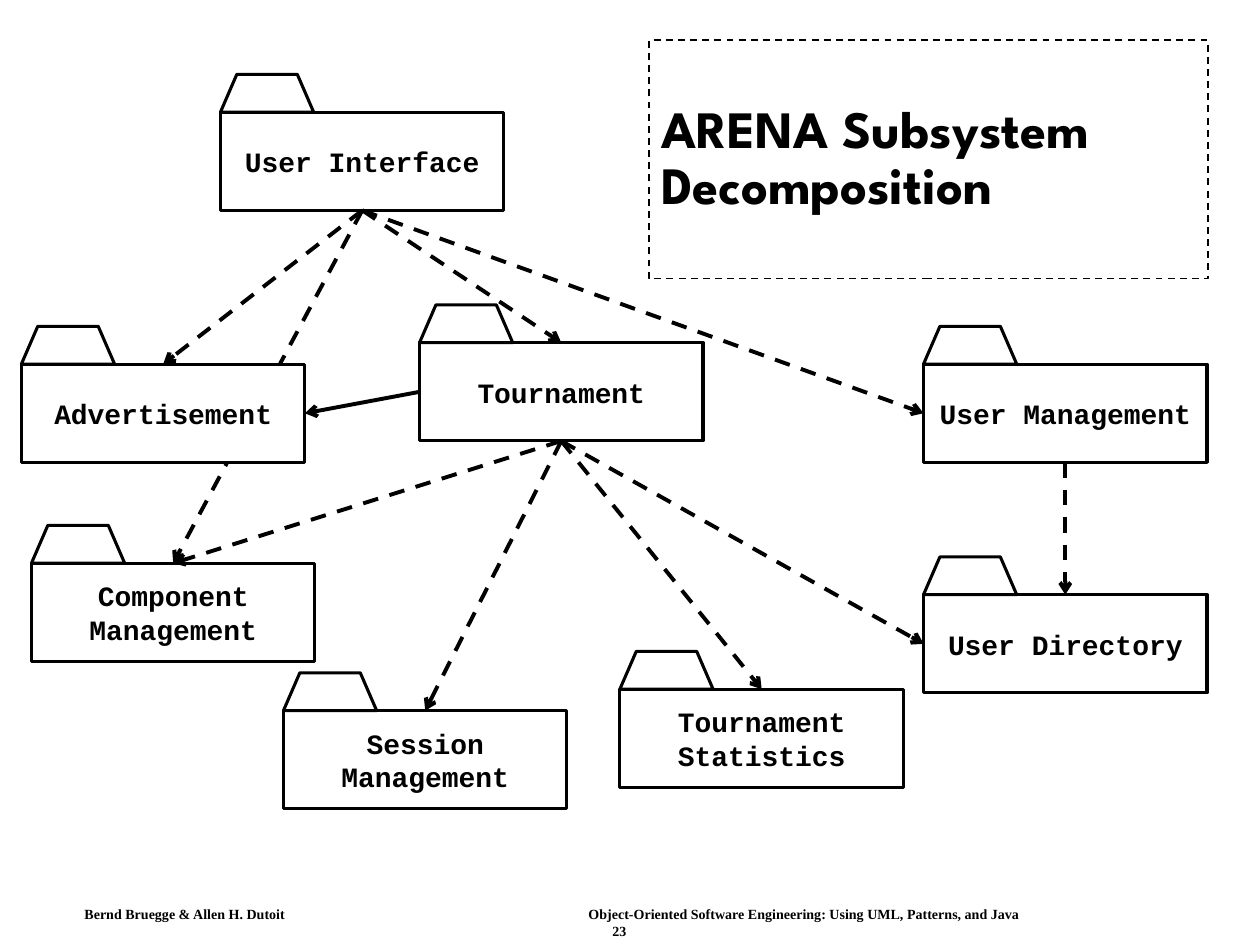
import pptx
import pptx.dml.color
import pptx.enum.dml
import pptx.enum.shapes
import pptx.enum.text
import pptx.oxml
import pptx.oxml.ns
import pptx.util

Inches, Pt = pptx.util.Inches, pptx.util.Pt
Align, Anchor = pptx.enum.text.PP_ALIGN, pptx.enum.text.MSO_ANCHOR
Preset = pptx.enum.shapes.MSO_SHAPE
DASH = pptx.enum.dml.MSO_LINE.DASH

COLORS = {"ink": "000000", "paper": "FFFFFF"}
PACKAGE_FONT = {"name": "Courier New", "size": Pt(16), "bold": True}
TITLE_FONT = {"name": "League Spartan", "size": Pt(30), "bold": True}
FOOTER_FONT = {"name": "Times New Roman", "size": Pt(8), "bold": True}

BOX_W, BOX_H, TAB_H = 2.25, 0.78, 0.3
TAB_OUTLINE = [(0, 0), (0.13, -TAB_H), (0.61, -TAB_H), (0.74, 0)]
TOP, LEFT, BOTTOM, RIGHT = range(4)  # connection sites of a rectangle

# Left and top of each package body
PACKAGES = {
    "Tournament": (3.33, 2.72),
    "Component Management": (0.25, 4.47),
    "User Management": (7.33, 2.89),
    "Tournament Statistics": (4.92, 5.47),
    "User Directory": (7.33, 4.72),
    "User Interface": (1.75, 0.89),
    "Session Management": (2.25, 5.64),
}
ADVERTISEMENT = ("Advertisement", 0.17, 2.89)

# Source, its side, target, its side
DEPENDENCIES = [
    ("Tournament", BOTTOM, "Tournament Statistics", TOP),
    ("User Management", BOTTOM, "User Directory", TOP),
    ("Tournament", BOTTOM, "User Directory", LEFT),
    ("User Interface", BOTTOM, "Tournament", TOP),
    ("Tournament", BOTTOM, "Component Management", TOP),
    ("Tournament", BOTTOM, "Session Management", TOP),
    ("User Interface", BOTTOM, "User Management", LEFT),
    ("User Interface", BOTTOM, "Component Management", TOP),
]


def rgb(name):
    return pptx.dml.color.RGBColor.from_string(COLORS[name])


def apply_format(target, values):
    for attribute, value in values.items():
        setattr(target, attribute, value)


def style_font(font, values):
    apply_format(font, values)
    font.color.rgb = rgb("ink")


def style_outline(shape, width, fill=None):
    shape.shadow.inherit = False
    shape.line.color.rgb = rgb("ink")
    shape.line.width = Pt(width)
    if fill:
        shape.fill.solid()
        shape.fill.fore_color.rgb = rgb(fill)
    else:
        shape.fill.background()


def add_package(slide, name, left, top, fill=None):
    """Draw a UML package and return its body for connecting."""
    package = slide.shapes.add_group_shape()
    body = package.shapes.add_shape(
        Preset.RECTANGLE, Inches(left), Inches(top), Inches(BOX_W), Inches(BOX_H))
    frame = body.text_frame
    apply_format(frame, {"text": name, "word_wrap": True,
                         "vertical_anchor": Anchor.MIDDLE})
    label = frame.paragraphs[0]
    label.alignment = Align.CENTER
    style_font(label.runs[0].font, PACKAGE_FONT)

    corners = [(Inches(left + x), Inches(top + y)) for x, y in TAB_OUTLINE]
    outline = package.shapes.build_freeform(*corners[0])
    outline.add_line_segments(corners[1:], close=True)
    for part in (body, outline.convert_to_shape()):
        style_outline(part, 1.75, fill)
    return body


def add_dependency(slide, source, source_side, target, target_side, dashed=True):
    arrow = slide.shapes.add_connector(
        pptx.enum.shapes.MSO_CONNECTOR.STRAIGHT, 0, 0, 0, 0)
    arrow.begin_connect(source, source_side)
    arrow.end_connect(target, target_side)
    arrow.line.color.rgb = rgb("ink")
    arrow.line.width = Pt(2.25)
    if dashed:
        arrow.line.dash_style = DASH
    # Arrowhead, and no shadow
    head = pptx.oxml.parse_xml(
        f'<a:tailEnd {pptx.oxml.ns.nsdecls("a")} type="arrow"/>')
    arrow.line._get_or_add_ln().append(head)
    arrow._element.spPr.append(pptx.oxml.parse_xml(
        f'<a:effectLst {pptx.oxml.ns.nsdecls("a")}/>'))


def add_diagram(slide):
    bodies = {name: add_package(slide, name, *corner)
              for name, corner in PACKAGES.items()}
    for source, source_side, target, target_side in DEPENDENCIES:
        add_dependency(slide, bodies[source], source_side,
                       bodies[target], target_side)
    # The filled package hides the arrow that runs behind it
    advertisement = add_package(slide, *ADVERTISEMENT, fill="paper")
    add_dependency(slide, bodies["User Interface"], BOTTOM, advertisement, TOP)
    add_dependency(slide, bodies["Tournament"], LEFT, advertisement, RIGHT,
                   dashed=False)


def add_title(slide, left, top, width, height):
    title = slide.shapes.add_shape(
        Preset.RECTANGLE, Inches(left), Inches(top), Inches(width), Inches(height))
    style_outline(title, 1)
    title.line.dash_style = DASH
    frame = title.text_frame
    apply_format(frame, {"text": "ARENA Subsystem\vDecomposition",
                         "word_wrap": True, "vertical_anchor": Anchor.MIDDLE})
    heading = frame.paragraphs[0]
    apply_format(heading, {"alignment": Align.LEFT, "line_spacing": 0.9})
    for run in heading.runs:
        style_font(run.font, TITLE_FONT)


def add_footer(slide, left, top, width, height):
    footer = slide.shapes.add_textbox(
        Inches(left), Inches(top), Inches(width), Inches(height))
    frame = footer.text_frame
    apply_format(frame, {
        "word_wrap": True,
        "margin_left": Inches(0.08), "margin_right": Inches(0.08),
        "margin_top": Inches(0.04), "margin_bottom": Inches(0.04),
        "text": "Bernd Bruegge & Allen H. Dutoit\tObject-Oriented Software "
                "Engineering: Using UML, Patterns, and Java\n23",
    })
    credits, page_number = frame.paragraphs
    page_number.alignment = Align.CENTER
    # Tab stop for the book title
    credits._p.get_or_add_pPr().append(pptx.oxml.parse_xml(
        f'<a:tabLst {pptx.oxml.ns.nsdecls("a")}>'
        f'<a:tab pos="{Inches(4)}" algn="l"/></a:tabLst>'))
    for line in frame.paragraphs:
        for run in line.runs:
            style_font(run.font, FOOTER_FONT)


def main():
    deck = pptx.Presentation()
    deck.slide_width, deck.slide_height = Inches(10), Inches(7.5)
    slide = deck.slides.add_slide(deck.slide_layouts[6])
    add_footer(slide, 0.59, 7.15, 8.65, 0.21)
    add_diagram(slide)
    add_title(slide, 5.15, 0.32, 4.44, 1.89)
    deck.save("out.pptx")


if __name__ == "__main__":
    main()
